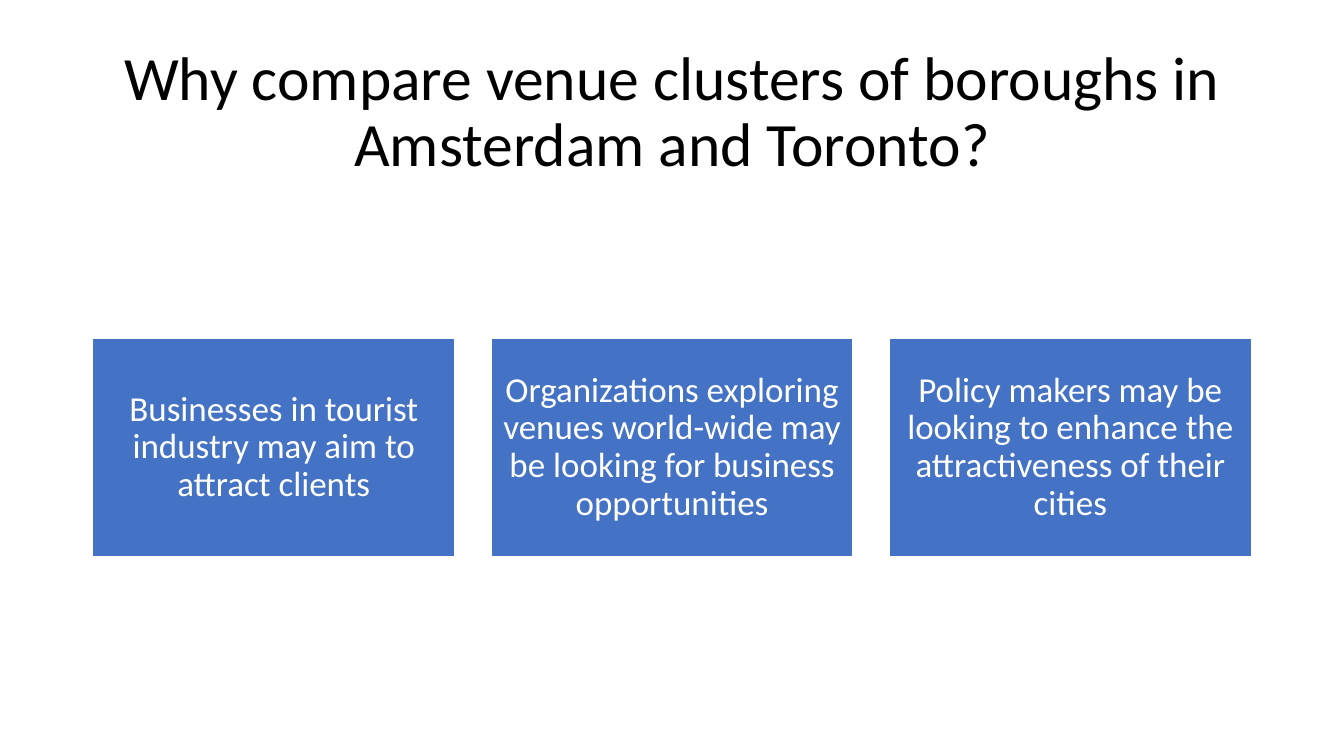
from pptx import Presentation
from pptx.dml.color import RGBColor
from pptx.enum.shapes import MSO_SHAPE
from pptx.enum.text import MSO_ANCHOR, PP_ALIGN
from pptx.util import Inches, Pt

TITLE = "Why compare venue clusters of boroughs in Amsterdam and Toronto?"
REASONS = [
    "Businesses in tourist industry may aim to attract clients",
    "Organizations exploring venues world-wide may be looking for business opportunities",
    "Policy makers may be looking to enhance the attractiveness of their cities",
]
FONT = "Calibri"
BLACK, WHITE, BLUE = "000000", "FFFFFF", "4472C4"

LEFT = 0.92
TITLE_TOP, TITLE_WIDTH, TITLE_HEIGHT = 0.4, 11.5, 1.45
CARD_TOP, CARD_WIDTH, CARD_HEIGHT, CARD_GAP = 3.36, 3.59, 2.16, 0.36


def color(value):
    return RGBColor.from_string(value)


def write(shape, text, size, text_color):
    """Put one centred paragraph into the middle of a shape."""
    frame = shape.text_frame
    frame.word_wrap = True
    frame.vertical_anchor = MSO_ANCHOR.MIDDLE
    frame.margin_left = frame.margin_right = Inches(0.1)
    frame.text = text
    paragraph = frame.paragraphs[0]
    paragraph.alignment = PP_ALIGN.CENTER
    paragraph.line_spacing = 0.9
    font = paragraph.runs[0].font
    font.name = FONT
    font.size = Pt(size)
    font.color.rgb = color(text_color)


def add_card(slide, left, text):
    card = slide.shapes.add_shape(
        MSO_SHAPE.RECTANGLE, Inches(left), Inches(CARD_TOP),
        Inches(CARD_WIDTH), Inches(CARD_HEIGHT))
    card.shadow.inherit = False
    card.fill.solid()
    card.fill.fore_color.rgb = color(BLUE)
    card.line.color.rgb = color(WHITE)
    card.line.width = Pt(1)
    write(card, text, 25, WHITE)


def main():
    presentation = Presentation()
    presentation.slide_width = Inches(13.33)
    presentation.slide_height = Inches(7.5)
    slide = presentation.slides.add_slide(presentation.slide_layouts[6])

    title = slide.shapes.add_textbox(
        Inches(LEFT), Inches(TITLE_TOP), Inches(TITLE_WIDTH), Inches(TITLE_HEIGHT))
    write(title, TITLE, 44, BLACK)

    for index, reason in enumerate(REASONS):
        add_card(slide, LEFT + index * (CARD_WIDTH + CARD_GAP), reason)

    presentation.save("out.pptx")


if __name__ == "__main__":
    main()
